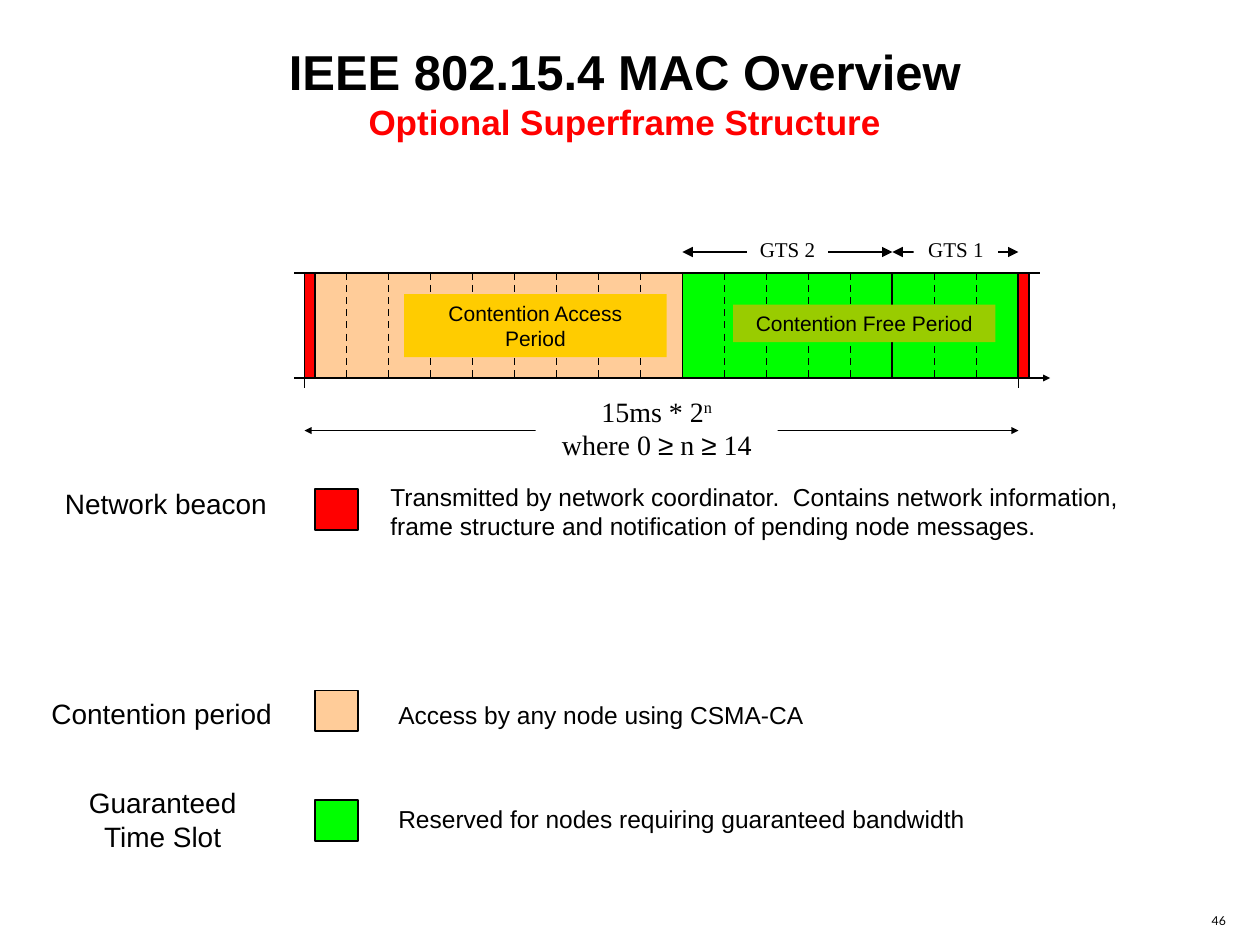
from pptx import Presentation
from pptx.dml.color import RGBColor
from pptx.enum.dml import MSO_LINE
from pptx.enum.shapes import MSO_CONNECTOR as LINK, MSO_SHAPE as SHAPE
from pptx.enum.text import MSO_ANCHOR as ANCHOR, MSO_AUTO_SIZE as FIT, PP_ALIGN as ALIGN
from pptx.oxml.ns import qn
from pptx.util import Cm, Pt
from lxml.etree import SubElement

BLACK = RGBColor(0, 0, 0)
WHITE = RGBColor(255, 255, 255)
RED = RGBColor(255, 0, 0)
PEACH = RGBColor(255, 204, 153)
GREEN = RGBColor(0, 255, 0)
GOLD = RGBColor(255, 204, 0)
OLIVE = RGBColor(153, 204, 0)
SANS, SERIF = "Arial", "Times New Roman"

# Superframe geometry in centimetres
START, END, SLOTS = 6.14, 20.53, 17
TOP, BASE = 5.5, 7.62
BEACON = 0.21


def slot_x(n):
    return START + n * (END - START) / SLOTS


def style(run, size, face, color=BLACK, bold=False):
    font = run.font
    font.size, font.name, font.bold = Pt(size), face, bold
    font.color.rgb = color


def add_box(slide, x, y, w, h, fill, edge=True):
    box = slide.shapes.add_shape(SHAPE.RECTANGLE, Cm(x), Cm(y), Cm(w), Cm(h))
    box.shadow.inherit = False
    box.fill.solid()
    box.fill.fore_color.rgb = fill
    if edge:
        box.line.color.rgb = BLACK
        box.line.width = Pt(1)
    else:
        box.line.fill.background()
    return box


def add_line(slide, x1, y1, x2, y2, dash=False, ends=(), tip="med"):
    """Draw a line; ends lists headEnd and tailEnd where arrows go."""
    line = slide.shapes.add_connector(LINK.STRAIGHT, Cm(x1), Cm(y1), Cm(x2), Cm(y2))
    line.line.color.rgb = BLACK
    line.line.width = Pt(1)
    if dash:
        line.line.dash_style = MSO_LINE.DASH
    pen = line.line._get_or_add_ln()
    for end in ends:
        SubElement(pen, qn("a:" + end), type="triangle", w=tip, len=tip)
    SubElement(line._element.spPr, qn("a:effectLst"))


def write(shape, text, size, face=SANS, align=ALIGN.CENTER,
          anchor=ANCHOR.MIDDLE, wrap=True):
    frame = shape.text_frame
    frame.text = text
    frame.word_wrap, frame.vertical_anchor = wrap, anchor
    frame.margin_left = frame.margin_right = Cm(0.25)
    frame.margin_top = frame.margin_bottom = Cm(0.13)
    for para in frame.paragraphs:
        para.alignment = align
        for run in para.runs:
            style(run, size, face)


def add_text(slide, x, y, w, h, text, size, **look):
    box = slide.shapes.add_textbox(Cm(x), Cm(y), Cm(w), Cm(h))
    write(box, text, size, **look)


def set_title(slide):
    title = slide.shapes.title
    title.left, title.top, title.width, title.height = Cm(2.75), Cm(0.71), Cm(19.69), Cm(2.29)
    write(title, "IEEE 802.15.4 MAC Overview\nOptional Superframe Structure", 28,
          anchor=ANCHOR.TOP)
    title.text_frame.auto_size = FIT.NONE
    main, sub = title.text_frame.paragraphs
    style(main.runs[0], 28, SANS, bold=True)
    style(sub.runs[0], 20, SANS, RED, bold=True)


def draw_frame(slide):
    tall = BASE - TOP
    add_box(slide, START + BEACON, TOP, END - START - BEACON, tall, PEACH)
    for first, last in ((9, 14), (14, SLOTS)):
        add_box(slide, slot_x(first), TOP, slot_x(last) - slot_x(first), tall, GREEN)
    for x in (START, END):
        add_box(slide, x, TOP, BEACON, tall, RED)
        add_line(slide, x, 5.92, x, 7.83)
    for n in range(1, SLOTS + 1):
        add_line(slide, slot_x(n), TOP, slot_x(n), BASE, dash=True)
    add_line(slide, 5.93, TOP, START + BEACON, TOP)
    add_line(slide, END, TOP, 20.96, TOP)
    add_line(slide, 5.93, BASE, 21.17, BASE, ends=["tailEnd"], tip="sm")
    for x, y, h, fill, text in (
            (8.15, 5.93, 1.27, GOLD, "Contention Access Period"),
            (14.78, 6.14, 0.76, OLIVE, "Contention Free Period")):
        label = add_box(slide, x, y, 5.29, h, fill, edge=False)
        write(label, text, 12, anchor=ANCHOR.TOP)


def draw_spans(slide):
    both = ["headEnd", "tailEnd"]
    for first, last, x, w, text in ((9, 14, 15.06, 1.63, "GTS 2"),
                                    (14, SLOTS, 18.42, 1.7, "GTS 1")):
        add_line(slide, slot_x(first), 5.08, slot_x(last), 5.08, ends=both)
        label = add_box(slide, x, 4.65, w, 0.76, WHITE, edge=False)
        write(label, text, 12, SERIF, wrap=False)
    add_line(slide, START, 8.68, END, 8.68, ends=both, tip="sm")
    draw_length(slide)


def draw_length(slide):
    """Label the frame length, with a raised exponent and sans-serif signs."""
    label = add_box(slide, 10.8, 7.82, 4.88, 1.63, WHITE, edge=False)
    write(label, "15ms * 2\n", 16, SERIF, anchor=ANCHOR.TOP)
    power, limit = label.text_frame.paragraphs
    parts = [(power, "n", SERIF)] + [
        (limit, text, SANS if text == "≥" else SERIF)
        for text in ("where 0 ", "≥", " n ", "≥", " 14")]
    for para, text, face in parts:
        run = para.add_run()
        run.text = text
        style(run, 16, face)
    power.runs[1]._r.get_or_add_rPr().set("baseline", "30000")


def draw_legend(slide):
    rows = (
        (RED, 9.86, (0.83, 9.68, 5.03, 0.94), "Network beacon",
         (7.62, 9.58, 15.24, 1.45),
         "Transmitted by network coordinator.  Contains network information,\n"
         "frame structure and notification of pending node messages."),
        (PEACH, 13.92, (0.63, 13.9, 5.26, 0.94), "Contention period",
         (7.78, 13.97, 8.69, 0.86), "Access by any node using CSMA-CA"),
        (GREEN, 16.13, (0.83, 15.7, 4.9, 1.63), "Guaranteed\nTime Slot",
         (7.78, 16.08, 11.94, 0.86), "Reserved for nodes requiring guaranteed bandwidth"),
    )
    for fill, y, place, name, area, note in rows:
        add_box(slide, 6.35, y, 0.87, 0.82, fill)
        add_text(slide, *place, name, 16)
        add_text(slide, *area, note, 14, align=ALIGN.LEFT, wrap=False)


def main():
    deck = Presentation()
    deck.slide_width, deck.slide_height = Cm(25.4), Cm(19.05)
    slide = deck.slides.add_slide(deck.slide_layouts[5])
    set_title(slide)
    draw_frame(slide)
    draw_spans(slide)
    draw_legend(slide)
    add_text(slide, 24, 18.14, 1.14, 0.84, "46", 7, face="Lato")
    deck.save("out.pptx")


if __name__ == "__main__":
    main()
